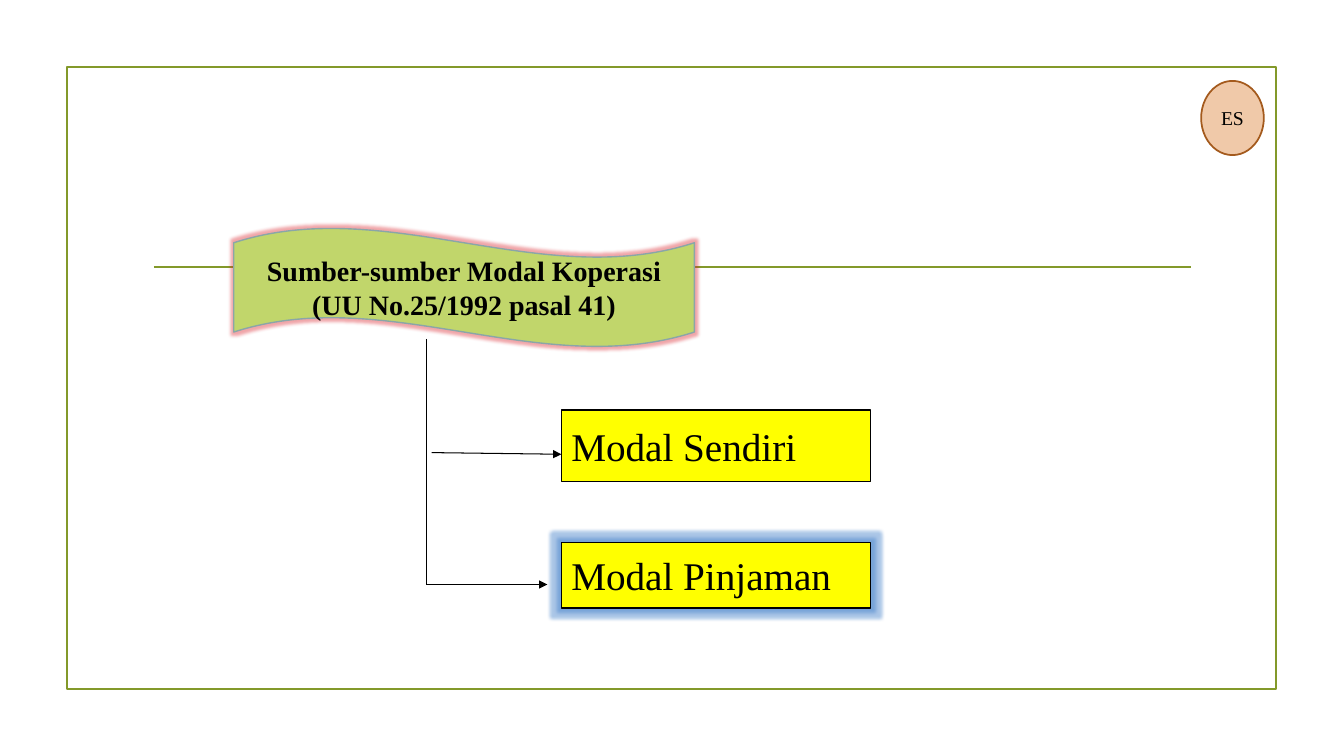
from lxml import etree
from pptx import Presentation
from pptx.dml.color import RGBColor
from pptx.enum.shapes import MSO_CONNECTOR, MSO_SHAPE
from pptx.enum.text import MSO_ANCHOR, PP_ALIGN
from pptx.oxml.ns import qn
from pptx.util import Pt

RECT, WAVE, OVAL = MSO_SHAPE.RECTANGLE, MSO_SHAPE.WAVE, MSO_SHAPE.OVAL
STRAIGHT = MSO_CONNECTOR.STRAIGHT
MIDDLE = MSO_ANCHOR.MIDDLE
CENTER, JUSTIFY = PP_ALIGN.CENTER, PP_ALIGN.JUSTIFY
FONT = "Times New Roman"
BLACK, OLIVE, YELLOW = "000000", "83992A", "FFFF00"


def color(code):
    return RGBColor.from_string(code)


def add_box(slide, kind, area, line, width, fill=None):
    box = slide.shapes.add_shape(kind, *map(Pt, area))
    box.shadow.inherit = False
    if fill:
        box.fill.solid()
        box.fill.fore_color.rgb = color(fill)
    else:
        box.fill.background()
    box.line.color.rgb = color(line)
    box.line.width = Pt(width)
    return box


def add_text(box, text, size, align=CENTER, bold=False, inset=7.2):
    frame = box.text_frame
    frame.word_wrap = True
    frame.vertical_anchor = MIDDLE
    frame.margin_left = frame.margin_right = Pt(inset)
    para = frame.paragraphs[0]
    para.alignment = align
    run = para.add_run()
    run.text = text
    run.font.name = FONT
    run.font.size = Pt(size)
    run.font.bold = bold
    run.font.color.rgb = color(BLACK)


def add_glow(box, code, radius):
    """Put a soft, half-clear halo round a shape."""
    effects = box._element.spPr.find(qn("a:effectLst"))
    glow = etree.SubElement(effects, qn("a:glow"), rad=str(Pt(radius)))
    tint = etree.SubElement(glow, qn("a:srgbClr"), val=code)
    etree.SubElement(tint, qn("a:alpha"), val="40000")


def add_line(slide, start, end, code=BLACK, width=0.5, arrow=False):
    line = slide.shapes.add_connector(STRAIGHT, *map(Pt, start + end))
    line.line.color.rgb = color(code)
    line.line.width = Pt(width)
    if arrow:
        etree.SubElement(line.line._get_or_add_ln(), qn("a:tailEnd"), type="triangle")
    etree.SubElement(line._element.spPr, qn("a:effectLst"))


def main():
    deck = Presentation()
    deck.slide_width, deck.slide_height = Pt(960), Pt(540)
    slide = deck.slides.add_slide(deck.slide_layouts[6])

    add_box(slide, RECT, (47.7, 48, 864, 444), OLIVE, 1.25)
    add_line(slide, (110, 190.8), (850.5, 190.8), OLIVE, 1.25)

    title = add_box(slide, WAVE, (167, 162.8, 329, 85), "8AA6A8", 1, "C1D66B")
    add_text(title, "Sumber-sumber Modal Koperasi (UU No.25/1992 pasal 41)", 20, bold=True)
    add_glow(title, "DA1F28", 5)

    trunk, foot = 304.6, 417.5
    add_line(slide, (trunk, 242), (trunk, foot))
    add_line(slide, (308.3, 323.3), (401, 324.5), width=0.75, arrow=True)
    add_line(slide, (trunk, foot), (391, foot), arrow=True)

    sources = [("Modal Sendiri", 293, 51.2, None),
               ("Modal Pinjaman", 387.4, 46.8, "2D72C4")]
    for name, top, height, halo in sources:
        box = add_box(slide, RECT, (401, top, 221, height), BLACK, 1, YELLOW)
        add_text(box, name, 28, JUSTIFY)
        if halo:
            add_glow(box, halo, 5)

    badge = add_box(slide, OVAL, (858, 57.8, 44.8, 53), "A45A1D", 1.25, "F0C9A9")
    add_text(badge, "ES", 14, inset=0)

    deck.save("out.pptx")


if __name__ == "__main__":
    main()
